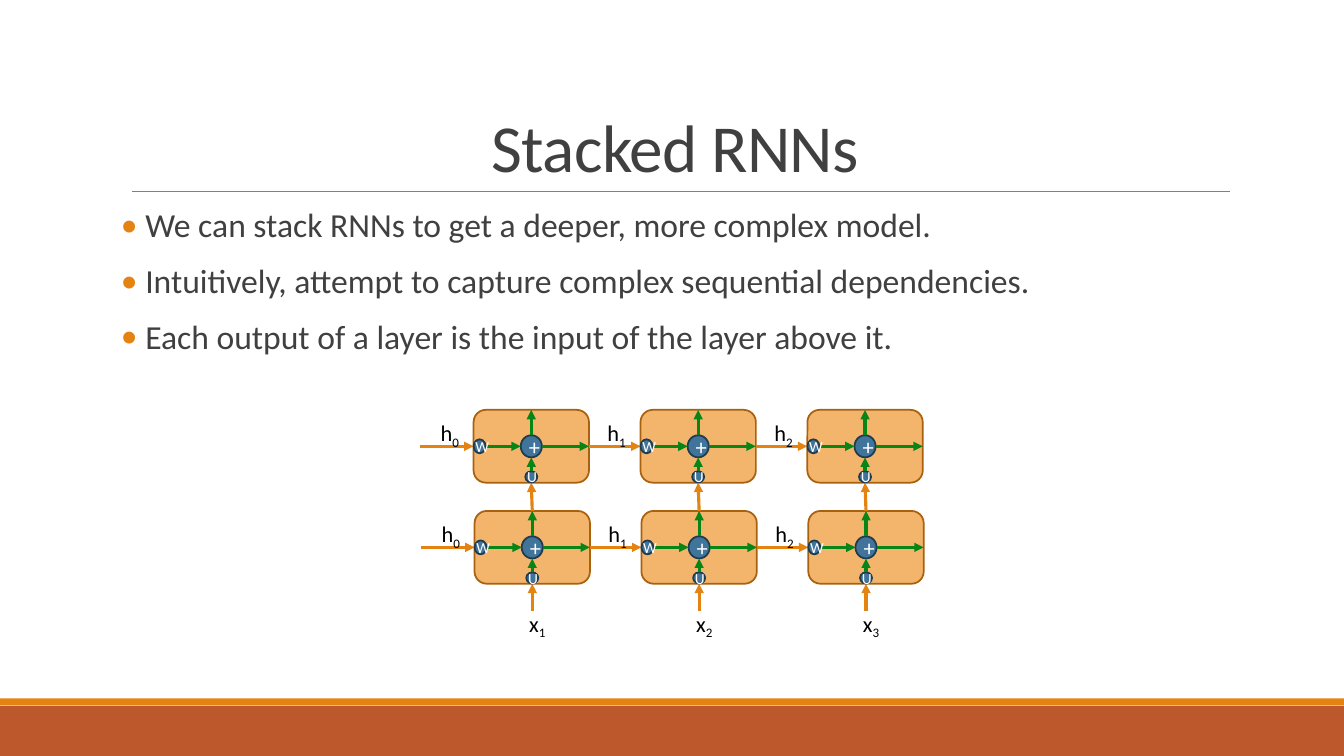
import pptx
import pptx.dml.color
import pptx.enum.shapes
import pptx.enum.text
import pptx.oxml
import pptx.oxml.ns
import pptx.util
from lxml import etree

Pt = pptx.util.Pt
RGBColor = pptx.dml.color.RGBColor
MSO_SHAPE = pptx.enum.shapes.MSO_SHAPE
PP_ALIGN = pptx.enum.text.PP_ALIGN
MSO_ANCHOR = pptx.enum.text.MSO_ANCHOR
MSO_AUTO_SIZE = pptx.enum.text.MSO_AUTO_SIZE
qn = pptx.oxml.ns.qn

WHITE = RGBColor(0xFF, 0xFF, 0xFF)
BLACK = RGBColor(0x00, 0x00, 0x00)
GRAY = RGBColor(0x40, 0x40, 0x40)
RULE_GRAY = RGBColor(0x80, 0x80, 0x80)
ORANGE = RGBColor(0xE4, 0x83, 0x12)
RUST = RGBColor(0xBD, 0x58, 0x2C)
CELL_FILL = RGBColor(0xF3, 0xB5, 0x6C)
CELL_LINE = RGBColor(0xA9, 0x61, 0x0D)
NODE_FILL = RGBColor(0x40, 0x74, 0x9B)
NODE_LINE = RGBColor(0x20, 0x3A, 0x4E)
GREEN = RGBColor(0x09, 0x85, 0x18)

SLIDE_WIDTH, SLIDE_HEIGHT = 960, 540
CELL_WIDTH, CELL_HEIGHT, CELL_PITCH = 82.4, 52, 119.2
STEPS = 3
BULLETS = (
    " We can stack RNNs to get a deeper, more complex model.",
    " Intuitively, attempt to capture complex sequential dependencies.",
    " Each output of a layer is the input of the layer above it.",
)


def write(paragraph, text, size=16, color=BLACK, font="Calibri", align=None,
          baseline=None, spacing=None):
    """Append a run; baseline is in percent, spacing in points."""
    run = paragraph.add_run()
    run.text = text
    run.font.size = Pt(size)
    run.font.name = font
    run.font.color.rgb = color
    if align is not None:
        paragraph.alignment = align
    properties = run._r.get_or_add_rPr()
    if baseline is not None:
        properties.set("baseline", str(baseline * 1000))
    if spacing is not None:
        properties.set("spc", str(int(spacing * 100)))


class SlideBuilder:
    def __init__(self, slide):
        self.slide = slide
        self.shapes = slide.shapes

    def start_group(self):
        """Send the elements that follow into a new group."""
        self.shapes = self.slide.shapes.add_group_shape().shapes

    def shape(self, kind, left, top, width, height, fill, line=None):
        shape = self.shapes.add_shape(kind, Pt(left), Pt(top), Pt(width), Pt(height))
        shape.shadow.inherit = False
        shape.fill.solid()
        shape.fill.fore_color.rgb = fill
        if line is None:
            shape.line.fill.background()
        else:
            shape.line.color.rgb = line
            shape.line.width = Pt(1.25)
        return shape

    def node(self, text, center_x, center_y, width, height, size):
        shape = self.shape(MSO_SHAPE.OVAL, center_x - width / 2, center_y - height / 2,
                           width, height, NODE_FILL, NODE_LINE)
        shape.text_frame.vertical_anchor = MSO_ANCHOR.MIDDLE
        write(shape.text_frame.paragraphs[0], text, size=size, color=WHITE,
              align=PP_ALIGN.CENTER)

    def line(self, start, end, color, width=2.25, arrow=True, begin=None, finish=None):
        """Draw a line; begin and finish are (shape, side) pairs to join."""
        connector = self.shapes.add_connector(
            pptx.enum.shapes.MSO_CONNECTOR.STRAIGHT, *map(Pt, start + end))
        connector.line.color.rgb = color
        connector.line.width = Pt(width)
        properties = connector.element.spPr
        if arrow:
            etree.SubElement(properties.find(qn("a:ln")), qn("a:tailEnd"), type="triangle")
        etree.SubElement(properties, qn("a:effectLst"))
        if begin:
            connector.begin_connect(*begin)
        if finish:
            connector.end_connect(*finish)

    def label(self, letter, index, left, top, width):
        box = self.shapes.add_textbox(Pt(left), Pt(top), Pt(width), Pt(26.6))
        box.text_frame.word_wrap = True
        box.text_frame.auto_size = MSO_AUTO_SIZE.SHAPE_TO_FIT_TEXT
        paragraph = box.text_frame.paragraphs[0]
        write(paragraph, letter)
        write(paragraph, str(index), baseline=-25)

    def place(self, placeholder, left, top, width, height, anchor):
        placeholder.left, placeholder.top = Pt(left), Pt(top)
        placeholder.width, placeholder.height = Pt(width), Pt(height)
        frame = placeholder.text_frame
        frame.word_wrap = True
        frame.auto_size = MSO_AUTO_SIZE.NONE
        frame.vertical_anchor = anchor
        return frame

    def title(self, text):
        frame = self.place(self.slide.shapes.title, 86.4, 22.3, 792, 114.5, MSO_ANCHOR.BOTTOM)
        paragraph = frame.paragraphs[0]
        paragraph.line_spacing = 0.85
        write(paragraph, text, size=48, color=GRAY, align=PP_ALIGN.CENTER, spacing=-0.5)

    def bullets(self, items):
        frame = self.place(self.slide.placeholders[1], 86.4, 145.4, 792, 316.8, MSO_ANCHOR.TOP)
        frame.margin_left = frame.margin_right = 0
        for number, item in enumerate(items):
            paragraph = frame.add_paragraph() if number else frame.paragraphs[0]
            paragraph.line_spacing = 0.9
            paragraph.space_before = Pt(12)
            paragraph.space_after = Pt(2)
            write(paragraph, item, size=24, color=GRAY, align=PP_ALIGN.LEFT)
            properties = paragraph._p.get_or_add_pPr()
            properties.set("marL", str(Pt(7.2)))
            properties.set("indent", str(-Pt(7.2)))
            bullet_color = etree.SubElement(properties, qn("a:buClr"))
            etree.SubElement(bullet_color, qn("a:srgbClr"), val=str(ORANGE))
            etree.SubElement(properties, qn("a:buFont"), typeface="Calibri")
            etree.SubElement(properties, qn("a:buChar"), char="•")

    def cell_flow(self, cell, left, top):
        """Draw the W, U and + nodes of a cell and the arrows among them."""
        center_x, center_y = left + CELL_WIDTH / 2, top + CELL_HEIGHT / 2
        right = left + CELL_WIDTH
        self.node("+", center_x, center_y, 15.1, 15.8, 16)
        self.line((left + 8.5, center_y), (center_x - 7.5, center_y), GREEN)
        self.node("W", left + 4.3, center_y, 8.6, 10, 11)
        self.node("U", center_x, top + 47.8, 8.6, 8, 11)
        self.line((center_x + 7.5, center_y), (right, center_y), GREEN, finish=(cell, 3))
        self.line((center_x, top + 43.8), (center_x, center_y + 8), GREEN)
        self.line((center_x, center_y - 8), (center_x, top), GREEN, finish=(cell, 0))

    def layer(self, left, top, below=None):
        """Draw one RNN layer, fed by the cells below or by the inputs x."""
        self.start_group()
        lefts = [left + step * CELL_PITCH for step in range(STEPS)]
        cells = [self.shape(MSO_SHAPE.ROUNDED_RECTANGLE, cell_left, top, CELL_WIDTH,
                            CELL_HEIGHT, CELL_FILL, CELL_LINE) for cell_left in lefts]
        center_y, bottom = top + CELL_HEIGHT / 2, top + CELL_HEIGHT
        for step, (cell, cell_left) in enumerate(zip(cells, lefts)):
            center_x = cell_left + CELL_WIDTH / 2
            self.line((cell_left - 38.2, center_y), (cell_left, center_y), ORANGE,
                      begin=(cells[step - 1], 3) if step else None, finish=(cell, 1))
            self.label("h", step, cell_left - 30.7, top + 3, 32.4)
            self.line((center_x, bottom + 19.4), (center_x, bottom), ORANGE,
                      begin=(below[step], 0) if below else None, finish=(cell, 2))
            if not below:
                self.label("x", step + 1, cell_left + 31.9, bottom + 15, 30.2)
            self.cell_flow(cell, cell_left, top)
        return cells


def main():
    presentation = pptx.Presentation()
    presentation.slide_width, presentation.slide_height = Pt(SLIDE_WIDTH), Pt(SLIDE_HEIGHT)
    builder = SlideBuilder(presentation.slides.add_slide(presentation.slide_layouts[1]))
    builder.shape(MSO_SHAPE.RECTANGLE, 0, 504, SLIDE_WIDTH, 36, RUST)
    builder.shape(MSO_SHAPE.RECTANGLE, 0, 498.8, SLIDE_WIDTH, 5, ORANGE)
    builder.line((94.3, 136.8), (878.9, 136.8), RULE_GRAY, width=0.5, arrow=False)
    builder.title("Stacked RNNs")
    builder.bullets(BULLETS)
    lower_cells = builder.layer(339, 365)
    builder.layer(338.3, 292.8, below=lower_cells)
    presentation.save("out.pptx")


if __name__ == "__main__":
    main()
